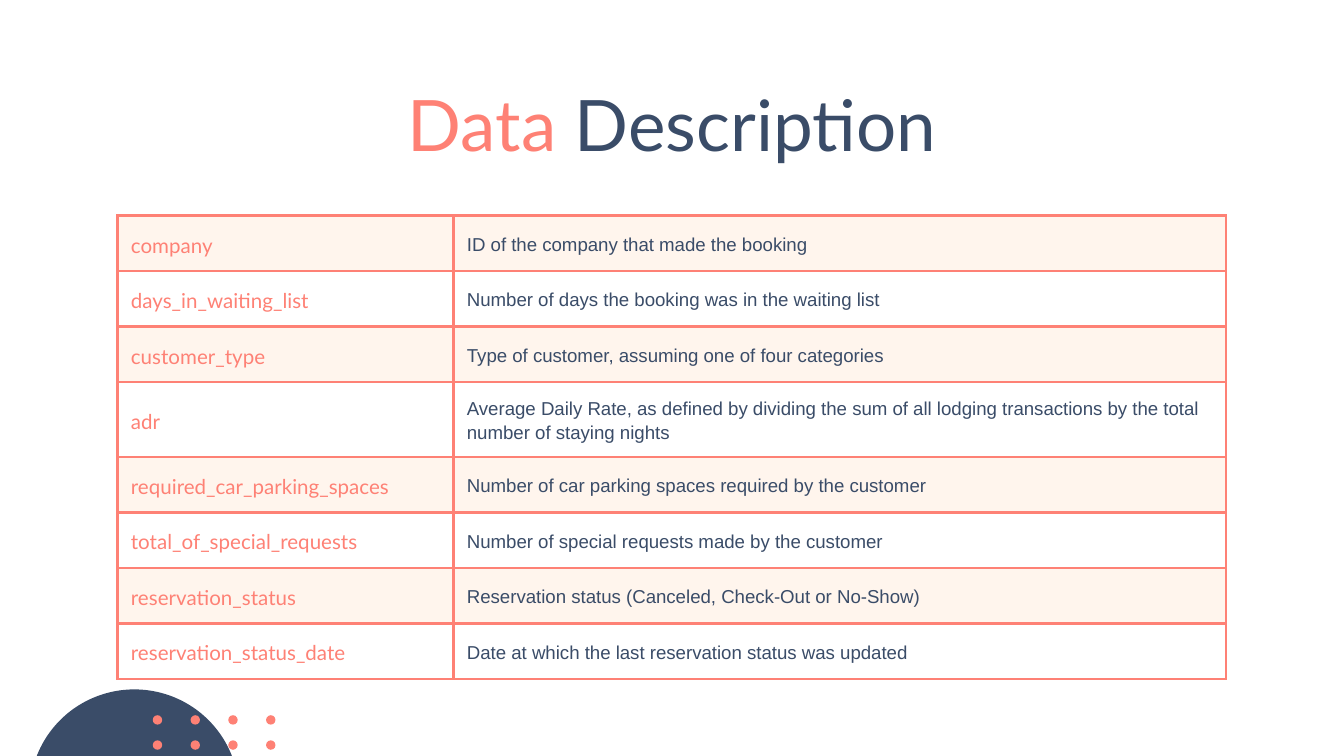
from typing import NamedTuple

import lxml.etree
import pptx
import pptx.dml.color
import pptx.enum.shapes
import pptx.enum.text
import pptx.oxml.ns
import pptx.util

WIDTH = pptx.util.Inches(10)
HEIGHT = WIDTH * 9 // 16
CORAL, NAVY, CREAM = "FE8175", "3A4C68", "FFF5ED"
INSET = pptx.util.Inches(0.1)


class Field(NamedTuple):
    name: str
    text: str


class Style(NamedTuple):
    font: str
    size: float
    color: str


class Disc(NamedTuple):
    """A circle placed in percent of the slide width."""
    left: float
    top: float
    size: float
    color: str


NAME = Style("Lato", 11, CORAL)
TEXT = Style("Arial", 10, NAVY)
HEAD = (("Data ", Style("Lato", 38, CORAL)),
        ("Description", Style("Lato", 38, NAVY)))

FIELDS = (
    Field("company", "ID of the company that made the booking"),
    Field("days_in_waiting_list",
          "Number of days the booking was in the waiting list"),
    Field("customer_type",
          "Type of customer, assuming one of four categories"),
    Field("adr",
          "Average Daily Rate, as defined by dividing the sum of all lodging "
          "transactions by the total number of staying nights"),
    Field("required_car_parking_spaces",
          "Number of car parking spaces required by the customer"),
    Field("total_of_special_requests",
          "Number of special requests made by the customer"),
    Field("reservation_status",
          "Reservation status (Canceled, Check-Out or No-Show)"),
    Field("reservation_status_date",
          "Date at which the last reservation status was updated"),
)

DOTS = [Disc(11.37 + 2.81 * col, 53.22 + 1.87 * row, 0.7, CORAL)
        for row in range(2) for col in range(4)]


def share(part: float) -> int:
    """Turn percent of the slide width into a length."""
    return round(WIDTH * part / 100)


def rgb(code: str) -> pptx.dml.color.RGBColor:
    return pptx.dml.color.RGBColor.from_string(code)


def format_run(run, style: Style) -> None:
    run.font.name = style.font
    run.font.size = pptx.util.Pt(style.size)
    run.font.color.rgb = rgb(style.color)


def draw_disc(slide, disc: Disc) -> None:
    size = share(disc.size)
    shape = slide.shapes.add_shape(
        pptx.enum.shapes.MSO_SHAPE.OVAL,
        share(disc.left), share(disc.top), size, size)
    shape.shadow.inherit = False
    shape.fill.solid()
    shape.fill.fore_color.rgb = rgb(disc.color)
    shape.line.fill.background()


def draw_title(slide) -> None:
    title = slide.shapes.title
    title.left, title.top = share(9.35), share(5)
    title.width, title.height = share(81.3), share(6.3)
    frame = title.text_frame
    frame.auto_size = pptx.enum.text.MSO_AUTO_SIZE.NONE
    frame.vertical_anchor = pptx.enum.text.MSO_ANCHOR.TOP
    frame.margin_left = frame.margin_right = INSET
    frame.margin_top = frame.margin_bottom = INSET
    line = frame.paragraphs[0]
    line.alignment = pptx.enum.text.PP_ALIGN.CENTER
    for words, style in HEAD:
        run = line.add_run()
        run.text = words
        format_run(run, style)


def add_border(cell, color: str, width: float) -> None:
    qn = pptx.oxml.ns.qn
    props = cell._tc.get_or_add_tcPr()
    for side in ("lnL", "lnR", "lnT", "lnB"):
        edge = lxml.etree.SubElement(
            props, qn(f"a:{side}"), w=str(pptx.util.Pt(width)))
        fill = lxml.etree.SubElement(edge, qn("a:solidFill"))
        lxml.etree.SubElement(fill, qn("a:srgbClr"), val=color)


def fill_cell(cell, words: str, style: Style, shaded: bool) -> None:
    add_border(cell, CORAL, 1.5)
    if shaded:
        cell.fill.solid()
        cell.fill.fore_color.rgb = rgb(CREAM)
    else:
        cell.fill.background()
    cell.vertical_anchor = pptx.enum.text.MSO_ANCHOR.MIDDLE
    cell.margin_left = cell.margin_right = INSET
    cell.margin_top = cell.margin_bottom = INSET
    line = cell.text_frame.paragraphs[0]
    line.text = words
    line.line_spacing = 1.15
    format_run(line.runs[0], style)


def draw_table(slide) -> None:
    row = share(3.9)
    table = slide.shapes.add_table(
        len(FIELDS), 2, share(8.74), share(16.03),
        share(82.5), row * len(FIELDS)).table
    table.first_row = table.horz_banding = False
    table.columns[0].width = share(25)
    table.columns[1].width = share(57.5)
    for index, field in enumerate(FIELDS):
        table.rows[index].height = row
        for col, style in enumerate((NAME, TEXT)):
            fill_cell(table.cell(index, col), field[col], style,
                      index % 2 == 0)


def main() -> None:
    deck = pptx.Presentation()
    deck.slide_width, deck.slide_height = WIDTH, HEIGHT
    slide = deck.slides.add_slide(deck.slide_layouts[5])
    for disc in (Disc(2.2, 51.3, 15.6, NAVY), *DOTS):
        draw_disc(slide, disc)
    draw_title(slide)
    draw_table(slide)
    deck.save("out.pptx")


if __name__ == "__main__":
    main()
